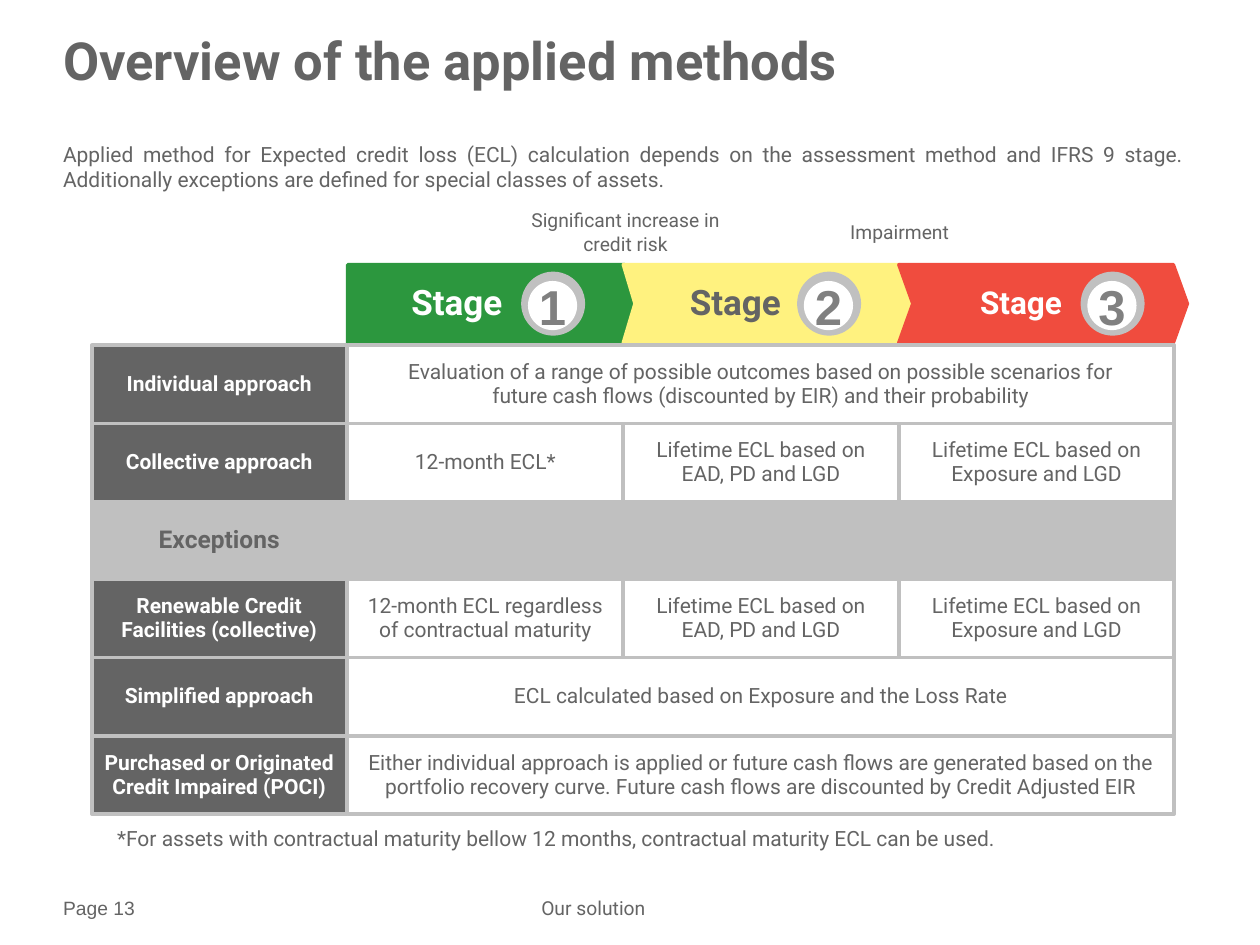
from lxml.etree import SubElement
from pptx import Presentation
from pptx.dml.color import RGBColor
from pptx.enum.shapes import MSO_SHAPE
from pptx.enum.text import MSO_ANCHOR, MSO_AUTO_SIZE, PP_ALIGN
from pptx.oxml.ns import qn
from pptx.util import Inches, Pt

# Content
TITLE = "Overview of the applied methods"
INTRO = ("Applied method for Expected credit loss (ECL) calculation depends on the "
         "assessment method and IFRS 9 stage. Additionally exceptions are defined "
         "for special classes of assets.")
FOOTNOTE = ("*For assets with contractual maturity bellow 12 months, "
            "contractual maturity ECL can be used.")
PAGE, PRODUCT = "Page 13", "Our solution"

DARK, GREY, WHITE, DIGIT = "646464", "C0C0C0", "FFFFFF", "808080"

# Outline, point depth, fill, text colour, size, right inset, ring left
STAGES = [
    (MSO_SHAPE.PENTAGON, 0.15, "2C973E", WHITE, 20, 0.51, 4.15),
    (MSO_SHAPE.CHEVRON, 0.15, "FFF27F", DARK, 20, 0.51, 6.34),
    (MSO_SHAPE.CHEVRON, 0.18, "F04C3E", WHITE, 18, 0.35, 8.59),
]
# Text, left, width
TRANSITIONS = [
    ("Significant increase in credit risk", 4.15, 1.63),
    ("Impairment", 6.48, 1.32),
]
LIFETIME_PD = ["Lifetime ECL based on EAD, PD and LGD"]
LIFETIME_EXPOSURE = ["Lifetime ECL based on Exposure and LGD"]
# Row label, then either one cell over all stages or one cell per stage
ROWS = [
    (["Individual approach"],
     [["Evaluation of a range of possible outcomes based on possible scenarios for",
       "future cash flows (discounted by EIR) and their probability"]]),
    (["Collective approach"],
     [["12-month ECL*"], LIFETIME_PD, LIFETIME_EXPOSURE]),
    (["Exceptions"], [[]]),
    (["Renewable Credit", "Facilities (collective)"],
     [["12-month ECL regardless", "of contractual maturity"],
      LIFETIME_PD, LIFETIME_EXPOSURE]),
    (["Simplified approach"],
     [["ECL calculated based on Exposure and the Loss Rate"]]),
    (["Purchased or Originated Credit Impaired (POCI)"],
     [["Either individual approach is applied or future cash flows are generated "
       "based on the portfolio recovery curve. Future cash flows are discounted "
       "by Credit Adjusted EIR"]]),
]

# Grid
LABEL_LEFT, LABEL_WIDTH = 0.73, 2.02
STAGE_LEFT, STAGES_WIDTH = 2.76, 6.56
STAGE_STEP = STAGES_WIDTH / len(STAGES)
ROW_TOP, ROW_STEP, ROW_HEIGHT = 2.74, 0.62, 0.62


def color(value):
    return RGBColor.from_string(value)


def write(shape, lines, size, text_color=DARK, bold=False, font="Roboto",
          align=PP_ALIGN.CENTER, anchor=MSO_ANCHOR.MIDDLE, insets=(0, 0, 0, 0),
          spacing=None):
    frame = shape.text_frame
    frame.word_wrap = True
    frame.auto_size = MSO_AUTO_SIZE.NONE
    frame.vertical_anchor = anchor
    (frame.margin_left, frame.margin_top,
     frame.margin_right, frame.margin_bottom) = [Inches(inset) for inset in insets]
    for index, line in enumerate(lines):
        paragraph = frame.add_paragraph() if index else frame.paragraphs[0]
        paragraph.alignment = align
        paragraph.space_before = Pt(0)
        if spacing:
            paragraph.line_spacing = spacing
        run = paragraph.add_run()
        run.text = line
        run.font.name = font
        run.font.size = Pt(size)
        run.font.bold = bold
        run.font.color.rgb = color(text_color)


def add_shape(slide, kind, left, top, width, height, fill=None, line=None):
    shape = slide.shapes.add_shape(kind, Inches(left), Inches(top),
                                   Inches(width), Inches(height))
    shape.shadow.inherit = False
    if fill:
        shape.fill.solid()
        shape.fill.fore_color.rgb = color(fill)
    else:
        shape.fill.background()
    if line:
        shape.line.color.rgb = color(line)
        shape.line.width = Pt(2)
    else:
        shape.line.fill.background()
    return shape


def add_text(slide, text, left, top, width, height, size, **style):
    box = slide.shapes.add_textbox(Inches(left), Inches(top),
                                   Inches(width), Inches(height))
    write(box, [text], size, **style)


def place(shape, left, top, width, height):
    shape.left, shape.top = Inches(left), Inches(top)
    shape.width, shape.height = Inches(width), Inches(height)


def main():
    presentation = Presentation()
    presentation.slide_width, presentation.slide_height = Inches(10), Inches(7.5)
    slide = presentation.slides.add_slide(presentation.slide_layouts[1])

    # Title and introduction
    title, intro = slide.shapes.title, slide.placeholders[1]
    place(title, 0.5, 0.3, 9, 0.94)
    write(title, [TITLE], 30, bold=True, align=PP_ALIGN.LEFT,
          anchor=MSO_ANCHOR.TOP, spacing=0.85)
    place(intro, 0.5, 1.12, 9, 2.02)
    properties = intro.text_frame.paragraphs[0]._p.get_or_add_pPr()
    properties.set("marL", "0")
    properties.set("indent", "0")
    SubElement(properties, qn("a:buNone"))
    write(intro, [INTRO], 12, align=PP_ALIGN.JUSTIFY, anchor=MSO_ANCHOR.TOP,
          insets=(0, 0, 0.1, 0.05))

    # Stage arrows
    for index, (kind, depth, fill, text_color, size, inset, _) in enumerate(STAGES):
        arrow = add_shape(slide, kind, STAGE_LEFT + index * STAGE_STEP, 2.1,
                          2.29, 0.62, fill, fill)
        arrow.adjustments[0] = depth
        write(arrow, ["Stage"], size, text_color, bold=True,
              insets=(0, 0.05, inset, 0.05), spacing=0.95)

    # Numbered rings
    for number, stage in enumerate(STAGES, start=1):
        ring_left = stage[-1]
        add_shape(slide, MSO_SHAPE.OVAL, ring_left, 2.17, 0.48, 0.48, GREY, GREY)
        disc = add_shape(slide, MSO_SHAPE.OVAL, ring_left + 0.04, 2.23,
                         0.39, 0.39, WHITE)
        write(disc, [str(number)], 28, DIGIT, bold=True, font="Arial")

    # Transitions between stages
    for text, left, width in TRANSITIONS:
        add_text(slide, text, left, 1.72, width, 0.24, 11, insets=(0.04,) * 4)

    # Method rows
    for row, (label, cells) in enumerate(ROWS):
        top = ROW_TOP + row * ROW_STEP
        divider = not cells[0]
        heading = add_shape(slide, MSO_SHAPE.RECTANGLE, LABEL_LEFT, top, LABEL_WIDTH,
                            ROW_HEIGHT, GREY if divider else DARK, GREY)
        write(heading, label, 14 if divider else 12, DARK if divider else WHITE,
              bold=True, spacing=0.95)
        width = STAGES_WIDTH / len(cells)
        side = 0.08 if len(cells) > 1 else 0
        for column, lines in enumerate(cells):
            cell = add_shape(slide, MSO_SHAPE.RECTANGLE, STAGE_LEFT + column * width,
                             top, width, ROW_HEIGHT, GREY if divider else None, GREY)
            write(cell, lines, 12, insets=(side, 0, side, 0), spacing=0.95)

    # Footnote and footer
    add_text(slide, FOOTNOTE, 0.73, 6.47, 8.6, 0.41, 12, align=PP_ALIGN.LEFT,
             anchor=MSO_ANCHOR.TOP, insets=(0.2, 0.08, 0.2, 0.08))
    add_text(slide, PAGE, 0.5, 7.11, 0.79, 0.22, 11, font="Arial",
             align=PP_ALIGN.LEFT, anchor=MSO_ANCHOR.TOP)
    add_text(slide, PRODUCT, 2.83, 7.11, 3.76, 0.22, 11, anchor=MSO_ANCHOR.TOP)

    presentation.save("out.pptx")


if __name__ == "__main__":
    main()
